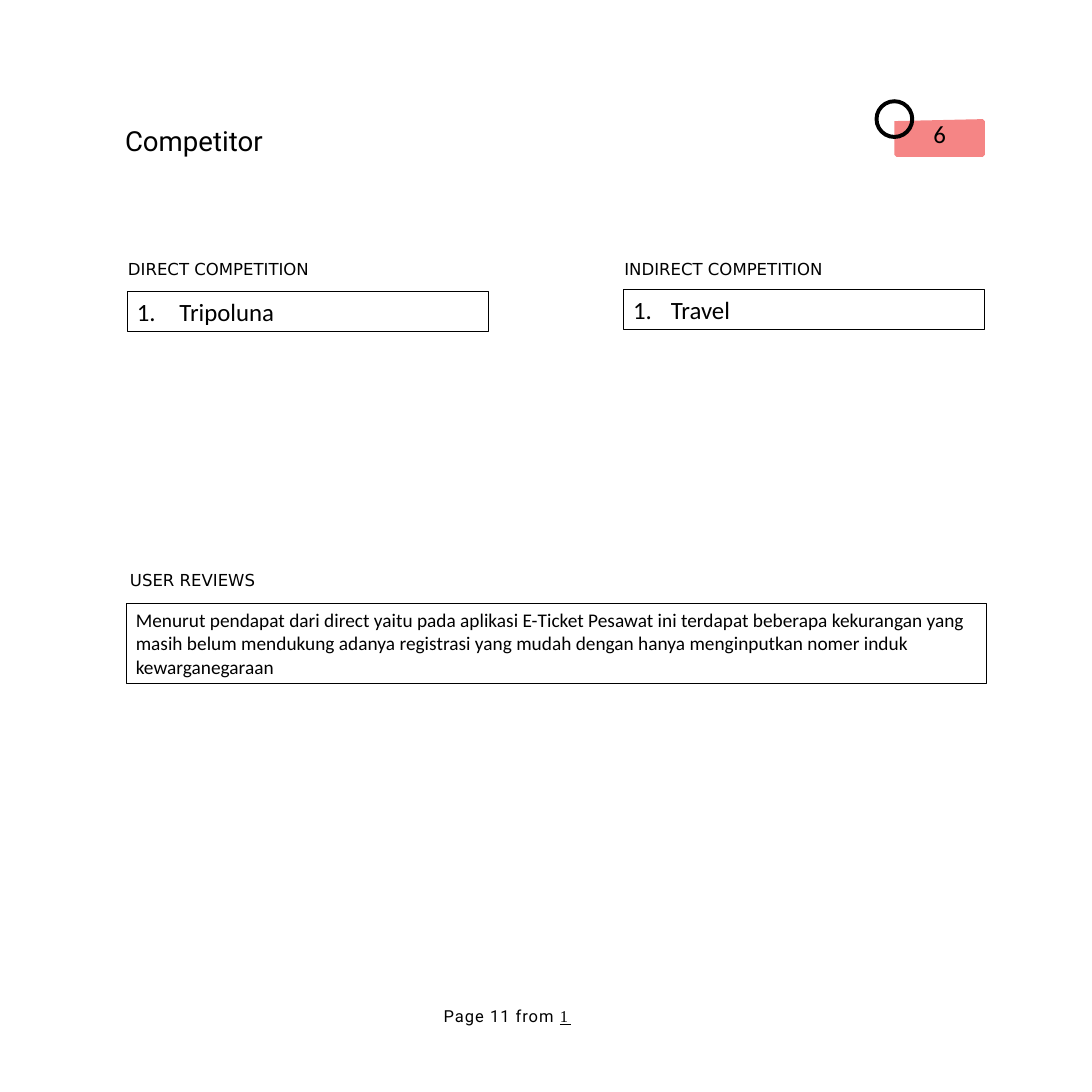
"""Build the competitor slide with its two competition lists and user reviews."""
from lxml import etree
from pptx import Presentation
from pptx.dml.color import RGBColor
from pptx.enum.shapes import MSO_SHAPE
from pptx.enum.text import MSO_ANCHOR, PP_ALIGN
from pptx.oxml.ns import qn
from pptx.util import Inches, Pt

BLACK = RGBColor(0x00, 0x00, 0x00)
CORAL = RGBColor(0xF5, 0x85, 0x85)


def write_text(shape, text, size, font, align=PP_ALIGN.LEFT, margins=(0, 0),
               number_indent=0, spacing=0, underline=None):
    """Append a formatted run to the first paragraph of a shape."""
    frame = shape.text_frame
    frame.word_wrap = True
    frame.vertical_anchor = MSO_ANCHOR.TOP
    frame.margin_left = frame.margin_right = Inches(margins[0])
    frame.margin_top = frame.margin_bottom = Inches(margins[1])
    paragraph = frame.paragraphs[0]
    paragraph.alignment = align
    if number_indent:
        properties = paragraph._p.get_or_add_pPr()
        properties.set("marL", str(Inches(number_indent)))
        properties.set("indent", str(-Inches(number_indent)))
        etree.SubElement(properties, qn("a:buFont"), typeface="+mj-lt")
        etree.SubElement(properties, qn("a:buAutoNum"), type="arabicPeriod")
    run = paragraph.add_run()
    run.text = text
    run.font.size = Pt(size)
    run.font.name = font
    run.font.color.rgb = BLACK
    run.font.underline = underline
    if spacing:
        run._r.get_or_add_rPr().set("spc", str(spacing))


presentation = Presentation()
presentation.slide_width = presentation.slide_height = Inches(11)
slide = presentation.slides.add_slide(presentation.slide_layouts[6])
shapes = slide.shapes

headings = [
    ("Competitor", 1.25, 1.23, 6.1, 0.35, 20, "Roboto"),
    ("DIRECT COMPETITION", 1.28, 2.59, 2.1, 0.22, 12, "DejaVu Sans"),
    ("USER REVIEWS", 1.3, 5.72, 1.6, 0.22, 12, "DejaVu Sans"),
    ("INDIRECT COMPETITION", 6.28, 2.59, 2.3, 0.22, 12, "DejaVu Sans"),
]
for text, left, top, width, height, size, font in headings:
    heading = shapes.add_textbox(Inches(left), Inches(top), Inches(width), Inches(height))
    write_text(heading, text, size, font, margins=(0.01, 0.02))

builder = shapes.build_freeform(901, 122, scale=Inches(0.01))
builder.add_line_segments(
    [(990, 120), (992, 122), (992, 156), (990, 158), (903, 158), (901, 156)])
badge = builder.convert_to_shape()
badge.shadow.inherit = False
badge.fill.solid()
badge.fill.fore_color.rgb = CORAL
badge.line.fill.background()
write_text(badge, "6", 18, "Calibri", align=PP_ALIGN.CENTER)

ring = shapes.add_shape(MSO_SHAPE.DONUT, Inches(8.81), Inches(1), Inches(0.4), Inches(0.4))
ring.adjustments[0] = 0.1
ring.shadow.inherit = False
ring.fill.solid()
ring.fill.fore_color.rgb = BLACK
ring.line.fill.background()

review = ("Menurut pendapat dari direct yaitu pada aplikasi E-Ticket Pesawat ini terdapat "
          "beberapa kekurangan yang masih belum mendukung adanya registrasi yang mudah "
          "dengan hanya menginputkan nomer induk kewarganegaraan")
boxes = [
    ("Tripoluna", 1.28, 2.94, 3.64, 0.4, 18, 0.43),
    ("Travel", 6.28, 2.92, 3.64, 0.4, 18, 0.38),
    (review, 1.27, 6.08, 8.67, 0.81, 14, 0),
]
for text, left, top, width, height, size, number_indent in boxes:
    box = shapes.add_shape(
        MSO_SHAPE.RECTANGLE, Inches(left), Inches(top), Inches(width), Inches(height))
    box.shadow.inherit = False
    box.fill.background()
    box.line.color.rgb = BLACK
    box.line.width = Pt(0.75)
    write_text(box, text, size, "Calibri", margins=(0.1, 0.05), number_indent=number_indent)

footer = shapes.add_textbox(Inches(4.46), Inches(10.14), Inches(1.41), Inches(0.2))
write_text(footer, "Page 11 from ", 12, "Roboto", margins=(0.01, 0), spacing=72)
write_text(footer, "1 ", 12, "Times New Roman", margins=(0.01, 0), spacing=-90, underline=True)
footer.text_frame.paragraphs[0].line_spacing = Pt(14.1)

presentation.save("out.pptx")
